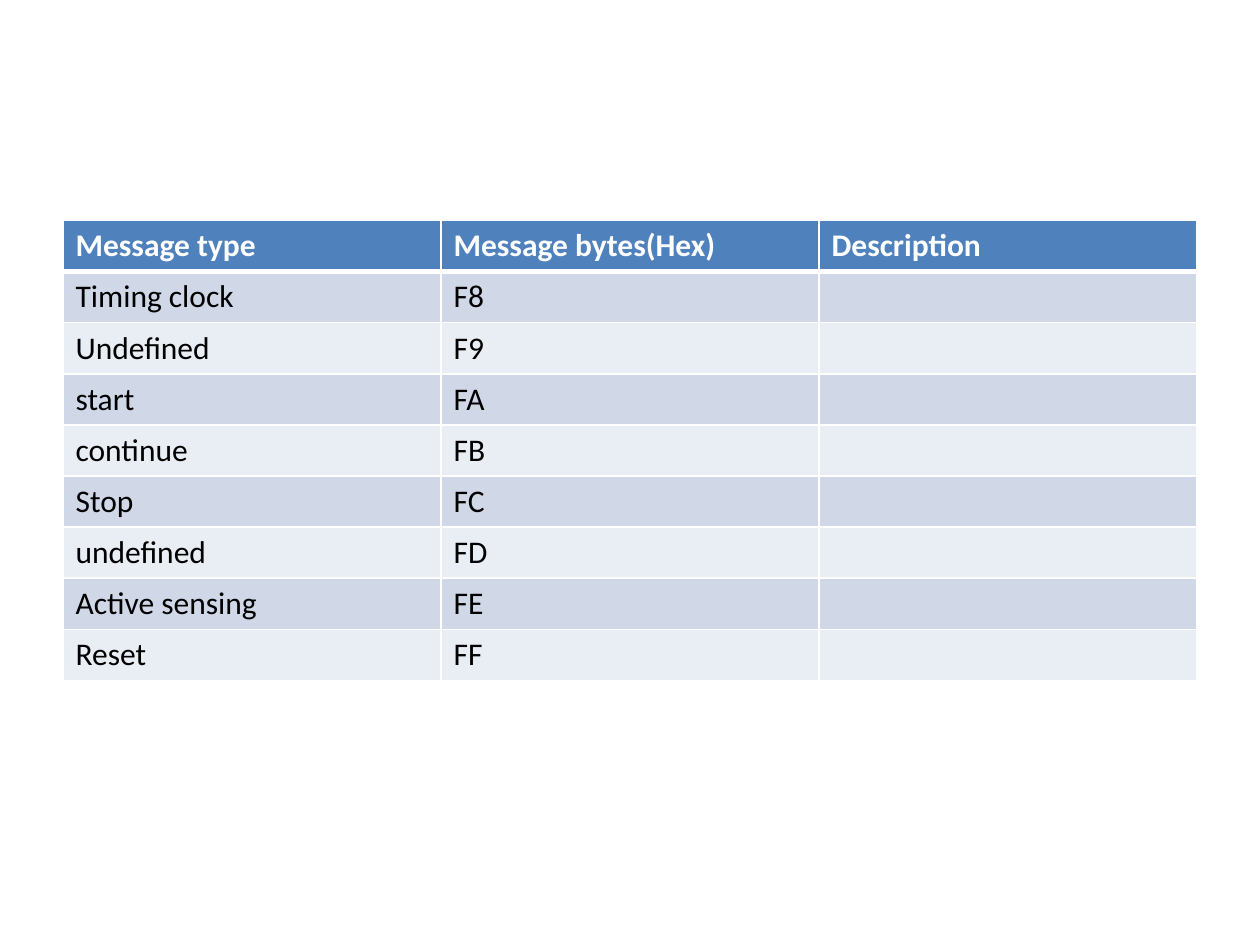
from dataclasses import dataclass

from lxml import etree
from pptx import Presentation
from pptx.dml.color import RGBColor
from pptx.oxml.ns import qn
from pptx.util import Pt


@dataclass(frozen=True)
class Theme:
    font: str = "Calibri"
    text_size: float = 18
    header_fill: str = "4F81BD"
    header_text: str = "FFFFFF"
    body_text: str = "000000"
    bands: tuple = ("D0D8E8", "E9EDF4")
    border: str = "FFFFFF"
    thin: float = 1
    thick: float = 3


class SlideBuilder:
    def __init__(self, slide, theme):
        self.slide = slide
        self.theme = theme

    def border(self, cell, side, width):
        line = etree.SubElement(cell._tc.get_or_add_tcPr(), qn(f"a:ln{side}"), w=str(Pt(width)))
        fill = etree.SubElement(line, qn("a:solidFill"))
        etree.SubElement(fill, qn("a:srgbClr"), val=self.theme.border)

    def cell(self, cell, text, row):
        theme = self.theme
        is_header = row == 0
        # Borders, with a heavy rule below the header
        widths = {
            "L": theme.thin,
            "R": theme.thin,
            "T": theme.thick if row == 1 else theme.thin,
            "B": theme.thick if is_header else theme.thin,
        }
        for side, width in widths.items():
            self.border(cell, side, width)
        # Header or alternating band fill
        cell.fill.solid()
        band = theme.bands[(row - 1) % len(theme.bands)]
        cell.fill.fore_color.rgb = RGBColor.from_string(theme.header_fill if is_header else band)
        if text:
            run = cell.text_frame.paragraphs[0].add_run()
            run.text = text
            run.font.name = theme.font
            run.font.size = Pt(theme.text_size)
            run.font.bold = is_header
            run.font.color.rgb = RGBColor.from_string(
                theme.header_text if is_header else theme.body_text)

    def table(self, rows, left, top, column_width, row_height):
        columns = len(rows[0])
        table = self.slide.shapes.add_table(
            len(rows), columns, Pt(left), Pt(top),
            Pt(column_width * columns), Pt(row_height * len(rows))).table
        table.horz_banding = False
        for column in table.columns:
            column.width = Pt(column_width)
        for index, values in enumerate(rows):
            table.rows[index].height = Pt(row_height)
            for column, text in enumerate(values):
                self.cell(table.cell(index, column), text, index)


# Message table content
header = ("Message type", "Message bytes(Hex) ", "Description ")
messages = (
    ("Timing clock", "F8", ""),
    ("Undefined ", "F9", ""),
    ("start", "FA", ""),
    ("continue", "FB", ""),
    ("Stop ", "FC", ""),
    ("undefined", "FD", ""),
    ("Active sensing", "FE", ""),
    ("Reset ", "FF", ""),
)

# Slide on the blank layout
presentation = Presentation()
presentation.slide_width, presentation.slide_height = Pt(720), Pt(540)
message_slide = presentation.slides.add_slide(presentation.slide_layouts[6])
builder = SlideBuilder(message_slide, Theme())
builder.table((header, *messages), left=36, top=126, column_width=216, row_height=29.2)

presentation.save("out.pptx")
